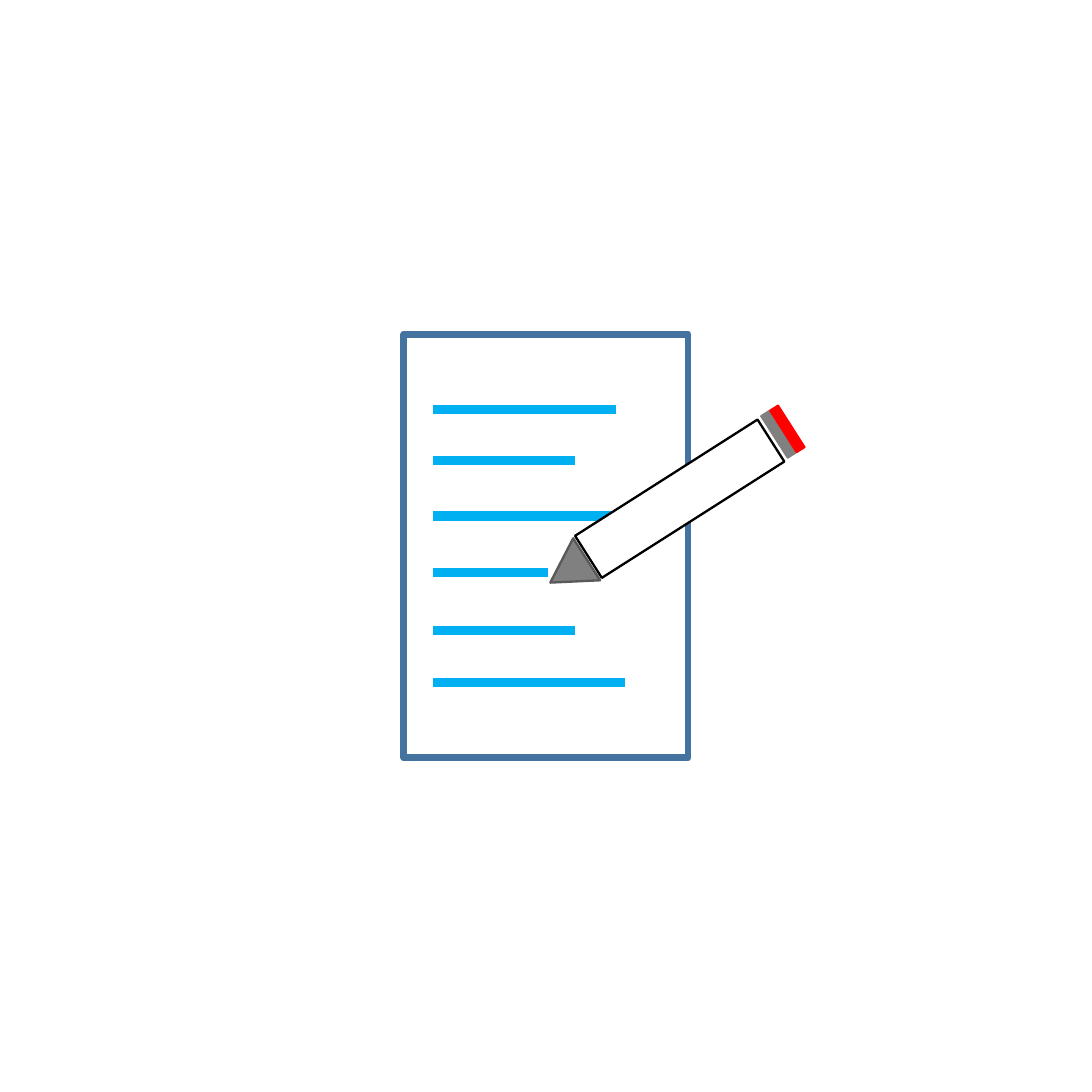
from lxml import etree
from pptx import Presentation
from pptx.dml.color import RGBColor
from pptx.enum.shapes import MSO_CONNECTOR, MSO_SHAPE
from pptx.oxml.ns import qn
from pptx.util import Inches, Pt

RECTANGLE = MSO_SHAPE.RECTANGLE
TRIANGLE = MSO_SHAPE.ISOSCELES_TRIANGLE
STRAIGHT = MSO_CONNECTOR.STRAIGHT
SIDE = Inches(9.84)
PENCIL_ANGLE = 327.5
PENCIL_WIDTH = 4.57
CAP_LENGTH = 0.91


def share(*percents):
    """Turn percentages of the square slide's side into lengths."""
    return [round(SIDE * percent / 100) for percent in percents]


def set_line(line, color, width):
    line.color.rgb = RGBColor.from_string(color)
    line.width = Pt(width)


presentation = Presentation()
presentation.slide_width = presentation.slide_height = SIDE
slide = presentation.slides.add_slide(presentation.slide_layouts[6])

# Sheet of paper
page = slide.shapes.add_shape(RECTANGLE, *share(36.99, 30.59, 26.02, 38.82))
page.shadow.inherit = False
page.fill.background()
set_line(page.line, "43739E", 4.5)

# Lines of writing: height on the sheet and right end
text_left = 39.68
writing = [
    (37.5, 56.4),
    (42.17, 52.64),
    (47.26, 60.98),
    (52.44, 50.2),
    (57.72, 52.64),
    (62.5, 57.22),
]
for row, right in writing:
    stroke = slide.shapes.add_connector(STRAIGHT, *share(text_left, row, right, row))
    set_line(stroke.line, "00B0F0", 6)
    etree.SubElement(stroke._element.spPr, qn("a:effectLst"))

# Pencil: barrel, tip, metal band and eraser
pencil = [
    (RECTANGLE, (52.34, 43.39, 19.82, PENCIL_WIDTH), PENCIL_ANGLE, "FFFFFF", "000000", 1.5),
    (TRIANGLE, (50.3, 49.29, PENCIL_WIDTH, 3.96), 357.3, "808080", "595959", 1.5),
    (RECTANGLE, (70.83, 37.5, CAP_LENGTH, PENCIL_WIDTH), PENCIL_ANGLE, "808080", "808080", 1),
    (RECTANGLE, (71.65, 36.99, CAP_LENGTH, PENCIL_WIDTH), PENCIL_ANGLE, "FF0000", "FF0000", 1),
]
for kind, box, angle, fill, outline, width in pencil:
    part = slide.shapes.add_shape(kind, *share(*box))
    part.rotation = angle
    part.shadow.inherit = False
    part.fill.solid()
    part.fill.fore_color.rgb = RGBColor.from_string(fill)
    set_line(part.line, outline, width)

presentation.save("out.pptx")
